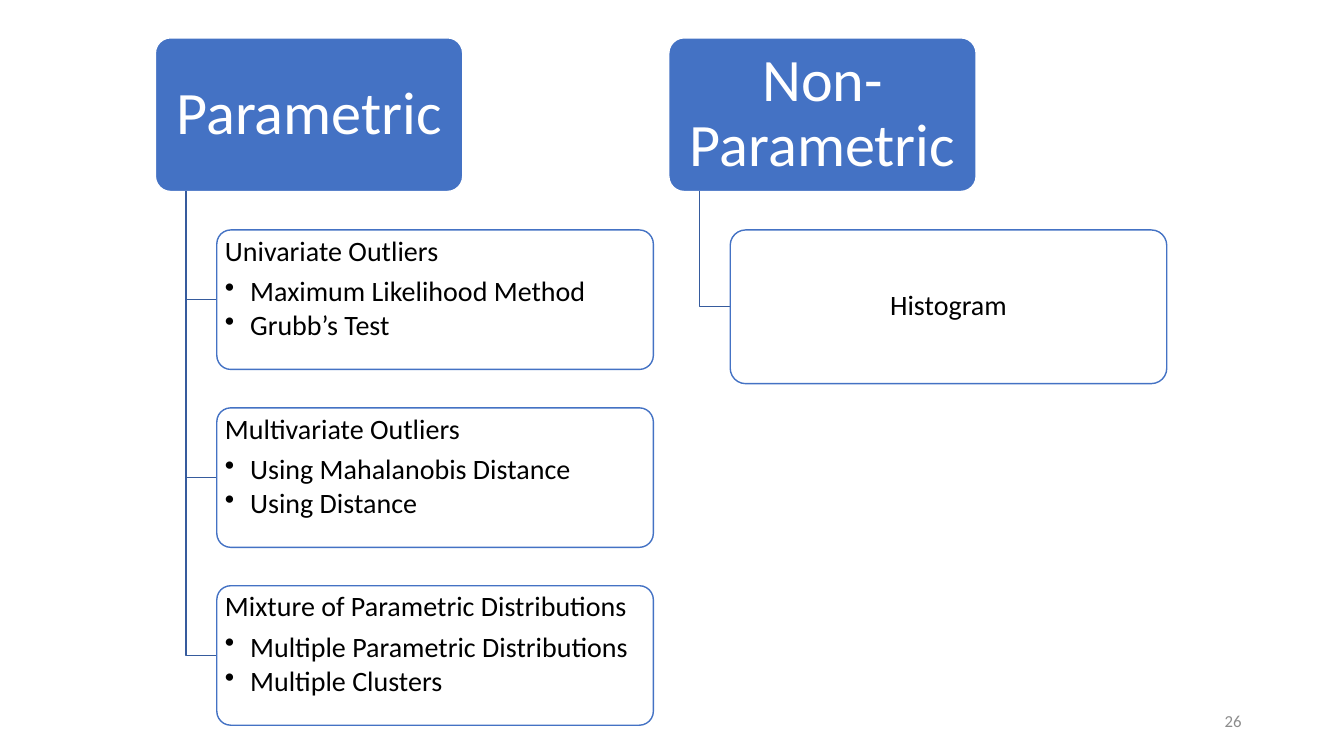
from lxml import etree
from pptx import Presentation, util as u
from pptx.dml.color import RGBColor
from pptx.enum import shapes, text
from pptx.oxml.ns import qn

BLUE, DARK_BLUE, WHITE, BLACK, GREY = "4472C4", "365B9D", "FFFFFF", "000000", "8C8C8C"
LEFT, CENTER, RIGHT = text.PP_ALIGN.LEFT, text.PP_ALIGN.CENTER, text.PP_ALIGN.RIGHT
TOP, MIDDLE = text.MSO_ANCHOR.TOP, text.MSO_ANCHOR.MIDDLE

# All positions and sizes are percentages of the slide's width or height
HEAD_TOP, HEAD_WIDTH, HEAD_HEIGHT = 5, 22.87, 20.33
FIRST_LEFT, BRANCH_STEP = 11.56, 38.2
ITEM_WIDTH, GAP = 32.48, HEAD_HEIGHT / 4

BRANCHES = [
    ("Parametric", 18.45, [
        ["Univariate Outliers", "Maximum Likelihood Method", "Grubb’s Test"],
        ["Multivariate Outliers", "Using Mahalanobis Distance", "Using Distance"],
        ["Mixture of Parametric Distributions",
         "Multiple Parametric Distributions", "Multiple Clusters"],
    ]),
    ("Non-Parametric", HEAD_HEIGHT, [["Histogram"]]),
]


def color(value):
    return RGBColor.from_string(value)


def set_all(target, values):
    for name, value in values.items():
        setattr(target, name, value)


class Page:
    """The current slide and its shared style."""

    font = "Calibri"

    def __init__(self, deck):
        self.deck = deck
        self.slide = deck.slides.add_slide(deck.slide_layouts[6])

    def x(self, share):
        return round(self.deck.slide_width * share / 100)

    def y(self, share):
        return round(self.deck.slide_height * share / 100)

    def area(self, left, top, width, height):
        return self.x(left), self.y(top), self.x(width), self.y(height)

    def fill_text(self, box, lines, size, ink, align, anchor, inset, spacing=0.9):
        """Set a first line, with any further lines as bullets below it."""
        frame = box.text_frame
        side, edge = map(u.Inches, inset)
        set_all(frame, dict(word_wrap=True, vertical_anchor=anchor,
                            margin_left=side, margin_right=side,
                            margin_top=edge, margin_bottom=edge))
        for index, line in enumerate(lines):
            para = frame.paragraphs[0] if index == 0 else frame.add_paragraph()
            if index:
                self.bullet(para)
            after = 0 if index == len(lines) - 1 else 3 if index else 7
            set_all(para, dict(alignment=align, line_spacing=spacing,
                               space_before=u.Pt(0), space_after=u.Pt(after)))
            span = para.add_run()
            span.text = line
            set_all(span.font, dict(name=self.font, size=u.Pt(size)))
            span.font.color.rgb = color(ink)

    def bullet(self, para):
        para.level = 1
        props = para._p.get_or_add_pPr()
        props.set("marL", str(u.Inches(0.25)))
        props.set("indent", str(-u.Inches(0.25)))
        etree.SubElement(props, qn("a:buChar")).set("char", "•")

    def panel(self, area, fill, line, lines, **style):
        box = self.slide.shapes.add_shape(
            shapes.MSO_SHAPE.ROUNDED_RECTANGLE, *self.area(*area))
        box.adjustments[0] = 0.1
        box.shadow.inherit = False
        box.fill.solid()
        box.fill.fore_color.rgb = color(fill)
        box.line.color.rgb = color(line)
        box.line.width = u.Pt(1)
        self.fill_text(box, lines, **style)

    def elbow(self, left, top, right, bottom):
        builder = self.slide.shapes.build_freeform(self.x(left), self.y(top))
        builder.add_line_segments([(self.x(left), self.y(bottom)),
                                   (self.x(right), self.y(bottom))], close=False)
        link = builder.convert_to_shape()
        link.shadow.inherit = False
        link.fill.background()
        link.line.color.rgb = color(DARK_BLUE)
        link.line.width = u.Pt(1)

    def label(self, area, words, **style):
        box = self.slide.shapes.add_textbox(*self.area(*area))
        self.fill_text(box, [words], **style)


def main():
    deck = Presentation()
    set_all(deck, dict(slide_width=u.Inches(13.333), slide_height=u.Inches(7.5)))
    page = Page(deck)

    # Each branch: a heading with its items hanging below
    for number, (heading, item_height, items) in enumerate(BRANCHES):
        left = FIRST_LEFT + number * BRANCH_STEP
        head_bottom = HEAD_TOP + HEAD_HEIGHT
        page.panel((left, HEAD_TOP, HEAD_WIDTH, HEAD_HEIGHT), BLUE, WHITE, [heading],
                   size=43, ink=WHITE, align=CENTER, anchor=MIDDLE, inset=(0.09, 0.06))
        stem, item_left = left + HEAD_WIDTH / 10, left + HEAD_WIDTH / 5
        for row, lines in enumerate(items):
            top = head_bottom + GAP + row * (item_height + GAP)
            page.elbow(stem, head_bottom, item_left, top + item_height / 2)
            listed = len(lines) > 1
            page.panel((item_left, top, ITEM_WIDTH, item_height), WHITE, BLUE, lines,
                       size=20, ink=BLACK, align=LEFT if listed else CENTER,
                       anchor=TOP if listed else MIDDLE, inset=(0.04, 0.03))

    # Slide number
    page.label((70.63, 92.67, 22.5, 5.33), "26", size=12, ink=GREY, align=RIGHT,
               anchor=MIDDLE, inset=(0.1, 0.05), spacing=1.0)

    deck.save("out.pptx")


if __name__ == "__main__":
    main()
